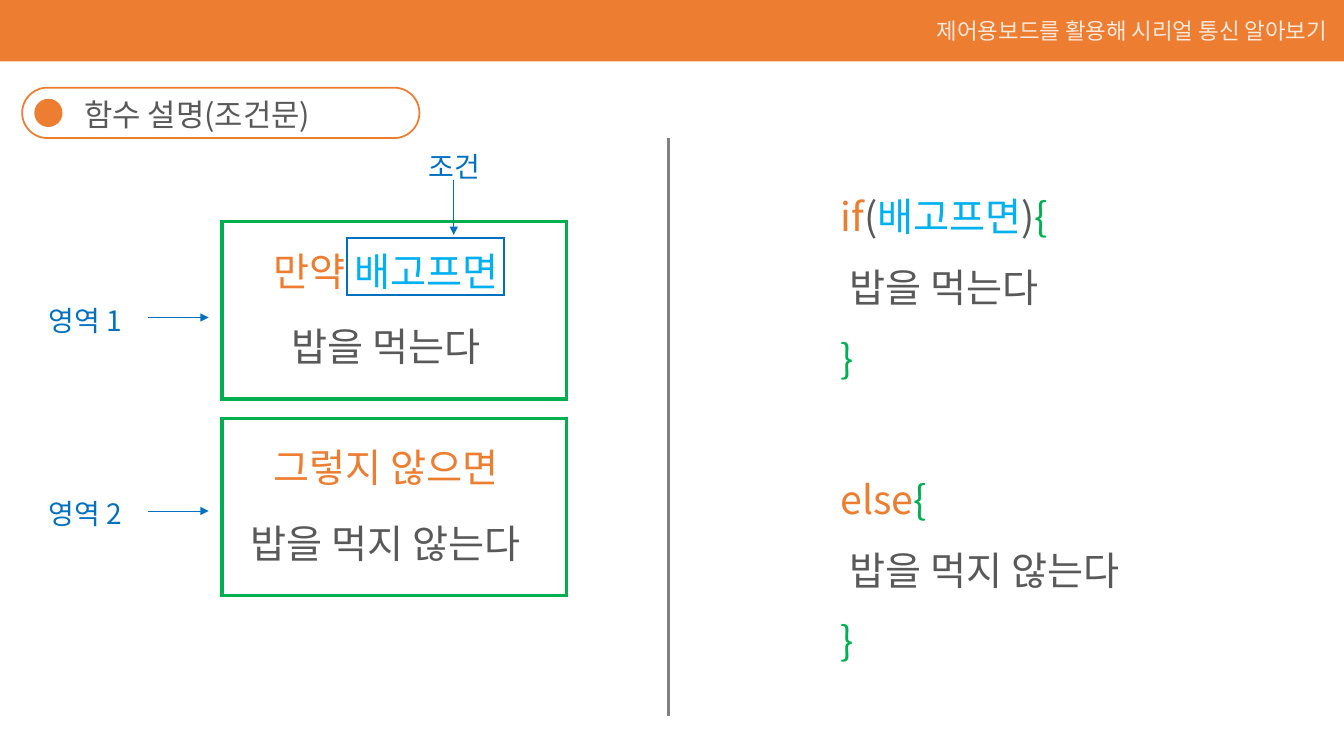
from lxml import etree
from pptx import Presentation, util as u
from pptx.dml.color import RGBColor
from pptx.enum import shapes, text
from pptx.oxml.ns import qn

COLORS = {
    "orange": "ED7D31",
    "white": "FFFFFF",
    "green": "00B050",
    "blue": "0070C0",
    "sky": "00B0F0",
    "gray": "595959",
    "divider": "808080",
}


class ConditionSlide:
    """Draws styled elements on one slide."""

    font = "Noto Sans CJK KR"

    def __init__(self, slide):
        self.slide = slide

    def color(self, name):
        return RGBColor.from_string(COLORS[name])

    def shape(self, kind, box, fill=None, line=None, width=1.0):
        shape = self.slide.shapes.add_shape(kind, *map(u.Inches, box))
        shape.shadow.inherit = False
        if fill:
            shape.fill.solid()
            shape.fill.fore_color.rgb = self.color(fill)
        else:
            shape.fill.background()
        if line:
            shape.line.color.rgb = self.color(line)
            shape.line.width = u.Pt(width)
            outline = shape.line._get_or_add_ln()
            etree.SubElement(outline, qn("a:miter"), lim="800000")
        else:
            shape.line.fill.background()
        return shape

    def line(self, start, end, color, width, arrow=False):
        connector = self.slide.shapes.add_connector(
            shapes.MSO_CONNECTOR.STRAIGHT, *map(u.Inches, start + end))
        connector.line.color.rgb = self.color(color)
        connector.line.width = u.Pt(width)
        if arrow:
            outline = connector.line._get_or_add_ln()
            etree.SubElement(outline, qn("a:tailEnd"), type="triangle")
        etree.SubElement(connector._element.spPr, qn("a:effectLst"))

    def run(self, paragraph, words, color, size, alpha=None):
        run = paragraph.add_run()
        run.text = words
        run.font.size = u.Pt(size)
        run.font.name = self.font
        run.font.color.rgb = self.color(color)
        properties = run._r.get_or_add_rPr()
        etree.SubElement(properties, qn("a:ea"), typeface=self.font)
        if alpha:
            fill_color = properties.find(".//" + qn("a:srgbClr"))
            etree.SubElement(fill_color, qn("a:alpha"), val=str(alpha * 1000))

    def text(self, box, lines, size, align="CENTER", spacing=None, gaps=None,
             alpha=None, middle=False):
        frame = self.slide.shapes.add_textbox(*map(u.Inches, box)).text_frame
        frame.word_wrap = True
        if middle:
            frame.auto_size = text.MSO_AUTO_SIZE.NONE
            frame.vertical_anchor = text.MSO_ANCHOR.MIDDLE
        else:
            frame.auto_size = text.MSO_AUTO_SIZE.SHAPE_TO_FIT_TEXT
        for index, runs in enumerate(lines):
            paragraph = frame.add_paragraph() if index else frame.paragraphs[0]
            paragraph.alignment = getattr(text.PP_ALIGN, align)
            if spacing:
                paragraph.line_spacing = spacing
            if gaps and index in gaps:
                paragraph.space_before = u.Pt(gaps[index])
            for words, color in runs:
                self.run(paragraph, words, color, size, alpha)


def main():
    presentation = Presentation()
    presentation.slide_width = u.Inches(13.33)
    presentation.slide_height = u.Inches(7.5)
    page = ConditionSlide(presentation.slides.add_slide(presentation.slide_layouts[6]))
    kinds = shapes.MSO_SHAPE

    page.shape(kinds.RECTANGLE, (0, 0, 13.33, 0.61), "orange")
    pill = page.shape(kinds.ROUNDED_RECTANGLE, (0.22, 0.87, 3.94, 0.5),
                      "white", "orange", 1.25)
    pill.adjustments[0] = 0.5
    page.shape(kinds.OVAL, (0.34, 0.98, 0.28, 0.28), "orange")
    page.text((9.08, 0.12, 4.18, 0.37),
              [[("제어용보드를 활용해 시리얼 통신 알아보기", "white")]],
              16, "RIGHT", alpha=83)
    page.text((0.74, 0.97, 3.26, 0.38), [[("함수 설명(조건문)", "gray")]],
              22, "LEFT", spacing=0.9, middle=True)
    page.line((6.63, 1.37), (6.63, 7.1), "divider", 1.5)

    areas = [
        ("영역 1", 2.2, 3.15, [("만약 ", "orange"), ("배고프면", "sky")], "밥을 먹는다"),
        ("영역 2", 4.15, 5.07, [("그렇지 않으면", "orange")], "밥을 먹지 않는다"),
    ]
    for label, top, arrow_y, condition, action in areas:
        page.shape(kinds.RECTANGLE, (2.2, top, 3.42, 1.76), line="green", width=2.5)
        page.text((1.95, top + 0.2, 3.75, 0.57), [condition], 28)
        page.text((1.95, top + 0.95, 3.75, 0.57), [[(action, "gray")]], 28)
        page.line((1.47, arrow_y), (2.07, arrow_y), "blue", 0.5, arrow=True)
        page.text((0.07, arrow_y - 0.19, 1.55, 0.44), [[(label, "blue")]], 20)

    page.line((4.5, 1.79), (4.5, 2.33), "blue", 0.5, arrow=True)
    page.text((2.63, 1.43, 3.75, 0.44), [[("조건", "blue")]], 20)
    page.shape(kinds.RECTANGLE, (3.44, 2.36, 1.56, 0.57), line="blue", width=1.5)

    code = [
        [("if", "orange"), ("(", "gray"), ("배고프면", "sky"), (")", "gray"), ("{", "green")],
        [(" 밥을 먹는다", "gray")],
        [("}", "green")],
        [("else", "orange"), ("{", "green")],
        [(" 밥을 먹지 않는다", "gray")],
        [("}", "green")],
    ]
    page.text((8.24, 1.63, 3.75, 5.05), code, 28, "LEFT", spacing=1.5, gaps={3: 50.5})

    presentation.save("out.pptx")


if __name__ == "__main__":
    main()
